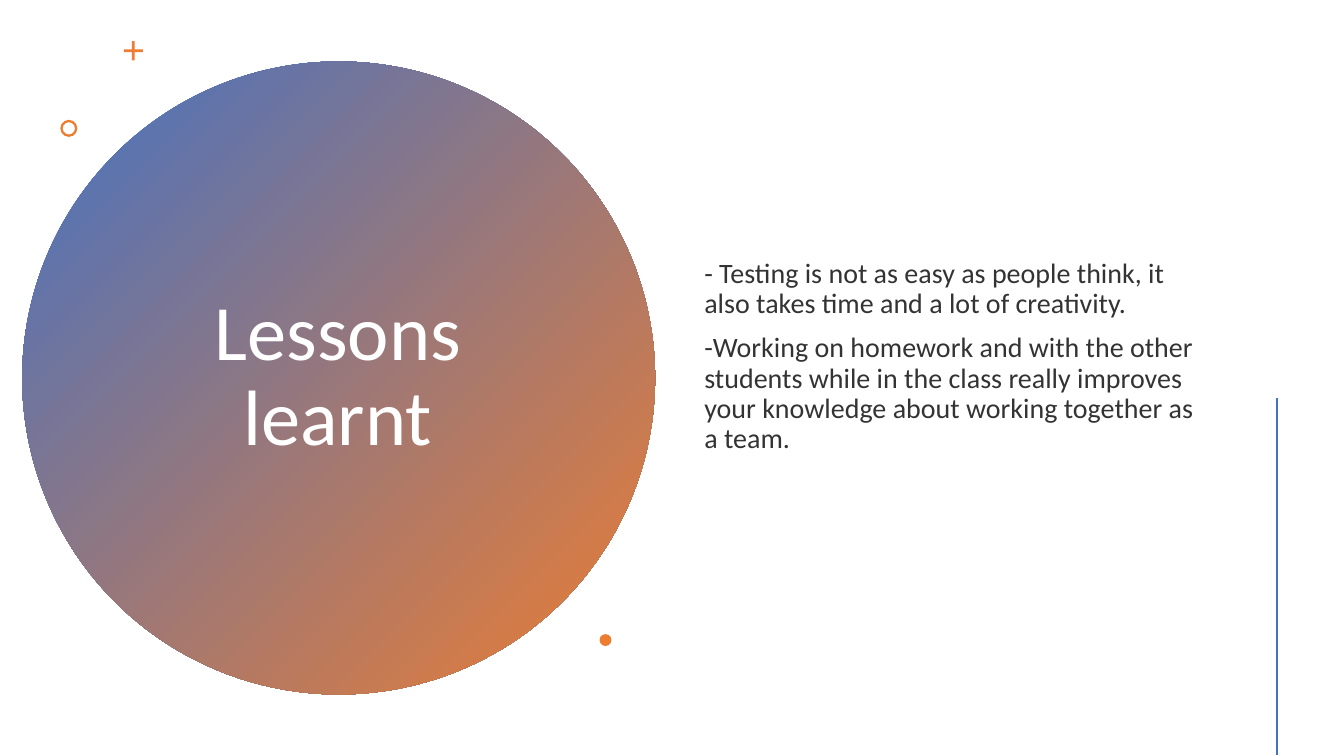
import dataclasses

import pptx
import pptx.dml.color
import pptx.enum.shapes
import pptx.enum.text
import pptx.oxml
import pptx.oxml.ns
import pptx.shapes.autoshape
import pptx.slide
import pptx.util

Cm = pptx.util.Cm
Pt = pptx.util.Pt
RGB = pptx.dml.color.RGBColor
Kind = pptx.enum.shapes.MSO_SHAPE
Align = pptx.enum.text.PP_ALIGN


@dataclasses.dataclass(frozen=True)
class Theme:
    font: str = "Calibri"
    blue: RGB = RGB(0x44, 0x72, 0xC4)
    orange: RGB = RGB(0xED, 0x7D, 0x31)
    white: RGB = RGB(0xFF, 0xFF, 0xFF)
    ink: RGB = RGB(0x33, 0x33, 0x33)
    title: int = 56
    body: int = 20
    rule: int = 2


@dataclasses.dataclass(frozen=True)
class Mark:
    """A square preset shape; sizes in centimetres."""
    kind: Kind
    left: float
    top: float
    size: float
    adjust: float | None = None


@dataclasses.dataclass(frozen=True)
class Block:
    """A text box; sizes in centimetres."""
    left: float
    top: float
    width: float
    height: float
    lines: tuple[str, ...]
    size: int
    color: RGB
    align: Align
    before: int = 0


THEME = Theme()

DISC = Mark(Kind.OVAL, 0.56, 1.55, 15.95)
MARKS = (
    Mark(Kind.CROSS, 3.12, 1.04, 0.48, 0.43),
    Mark(Kind.DONUT, 1.52, 3.02, 0.43, 0.14),
    Mark(Kind.OVAL, 15.11, 15.98, 0.3),
)
BLOCKS = (
    Block(3.45, 3.58, 10.13, 11.86, ("Lessons learnt",),
          THEME.title, THEME.white, Align.CENTER),
    Block(17.5, 1.45, 13.26, 15.09, (
        "- Testing is not as easy as people think, it also takes time "
        "and a lot of creativity.",
        "-Working on homework and with the other students while in the class "
        "really improves your knowledge about working together as a team.",
    ), THEME.body, THEME.ink, Align.LEFT, 10),
)


def add_mark(slide: pptx.slide.Slide, mark: Mark) -> pptx.shapes.autoshape.Shape:
    shape = slide.shapes.add_shape(
        mark.kind, Cm(mark.left), Cm(mark.top), Cm(mark.size), Cm(mark.size))
    shape.shadow.inherit = False
    shape.line.fill.background()
    shape.fill.solid()
    shape.fill.fore_color.rgb = THEME.orange
    if mark.adjust is not None:
        shape.adjustments[0] = mark.adjust
    return shape


def add_disc(slide: pptx.slide.Slide) -> None:
    fill = add_mark(slide, DISC).fill
    fill.gradient()
    fill.gradient_angle = 315
    for stop, color in zip(fill.gradient_stops, (THEME.blue, THEME.orange)):
        stop.color.rgb = color


def add_block(slide: pptx.slide.Slide, block: Block) -> None:
    frame = slide.shapes.add_textbox(
        Cm(block.left), Cm(block.top), Cm(block.width), Cm(block.height)).text_frame
    frame.word_wrap = True
    frame.vertical_anchor = pptx.enum.text.MSO_ANCHOR.MIDDLE
    frame.text = "\n".join(block.lines)
    for para in frame.paragraphs:
        para.alignment = block.align
        para.line_spacing = 0.9
        para.space_before = Pt(block.before)
        for run in para.runs:
            run.font.name = THEME.font
            run.font.size = Pt(block.size)
            run.font.color.rgb = block.color


def add_rule(slide: pptx.slide.Slide) -> None:
    rule = slide.shapes.add_connector(
        pptx.enum.shapes.MSO_CONNECTOR.STRAIGHT,
        Cm(32.18), Cm(10.03), Cm(32.18), Cm(19.03))
    rule.line.color.rgb = THEME.blue
    rule.line.width = Pt(THEME.rule)
    props = rule._element.spPr
    props.append(pptx.oxml.parse_xml(
        f"<a:effectLst {pptx.oxml.ns.nsdecls('a')}/>"))


def main() -> None:
    deck = pptx.Presentation()
    deck.slide_width, deck.slide_height = Cm(33.87), Cm(19.05)
    slide = deck.slides.add_slide(deck.slide_layouts[6])

    # Large disc and the small marks around it
    add_disc(slide)
    for mark in MARKS:
        add_mark(slide, mark)

    # Title and lessons
    for block in BLOCKS:
        add_block(slide, block)

    # Upright rule at the right edge
    add_rule(slide)

    deck.save("out.pptx")


if __name__ == "__main__":
    main()
